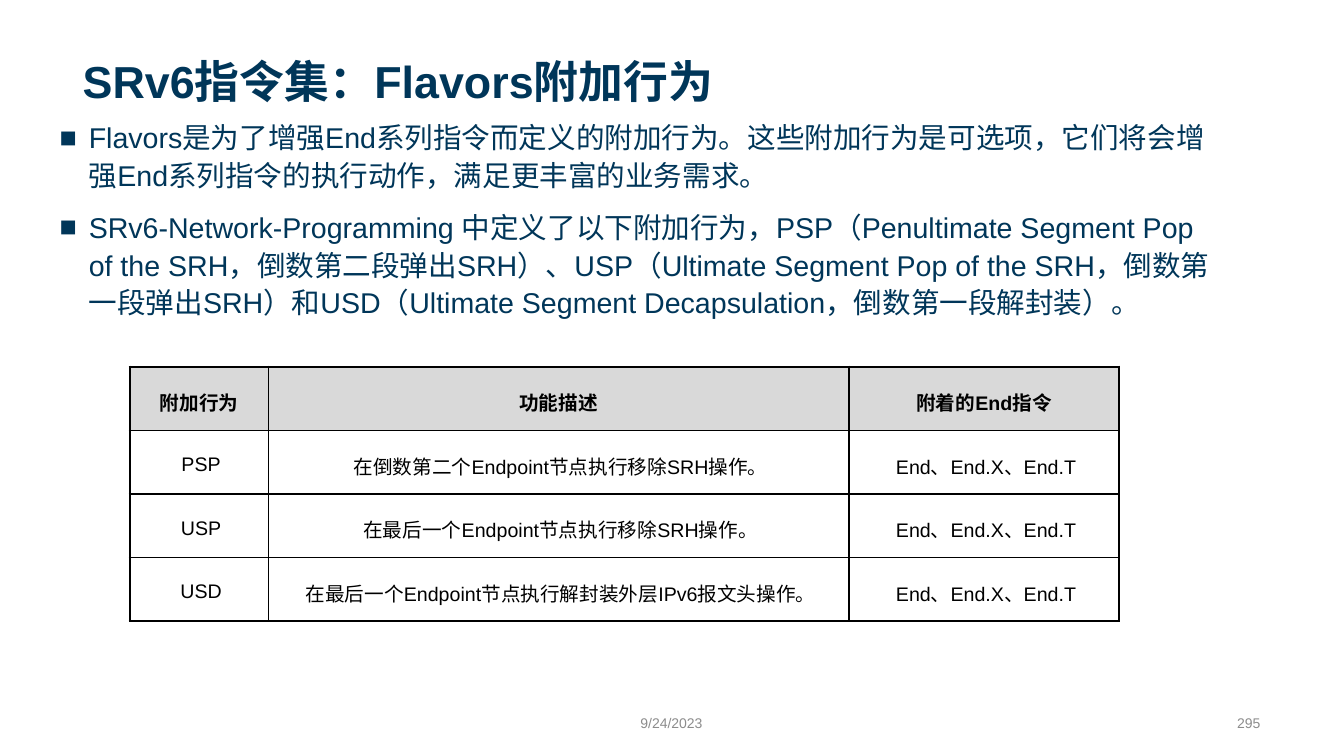
from lxml import etree
from pptx import Presentation
from pptx.dml.color import RGBColor
from pptx.enum.text import MSO_ANCHOR, MSO_AUTO_SIZE, PP_ALIGN
from pptx.oxml.ns import qn
from pptx.util import Inches, Pt

LEFT, CENTER, RIGHT = PP_ALIGN.LEFT, PP_ALIGN.CENTER, PP_ALIGN.RIGHT
MIDDLE, BOTTOM = MSO_ANCHOR.MIDDLE, MSO_ANCHOR.BOTTOM
NO_FIT = MSO_AUTO_SIZE.NONE
NAVY = RGBColor(0x00, 0x36, 0x59)
GRAY = RGBColor(0x8C, 0x8C, 0x8C)
HEADER_FILL = RGBColor(0xD9, 0xD9, 0xD9)
WHITE = RGBColor(0xFF, 0xFF, 0xFF)
BLACK = RGBColor(0x00, 0x00, 0x00)
THIN, THICK = Pt(1), Pt(2.25)


def style(para, size, color, align, bold=False, spacing=1.2):
    para.alignment = align
    para.line_spacing = spacing
    para.font.name = "Arial"
    para.font.size = Pt(size)
    para.font.bold = bold
    para.font.color.rgb = color


def add_border(cell, side, width):
    line = etree.SubElement(cell._tc.get_or_add_tcPr(), qn(f"a:{side}"), w=str(width))
    fill = etree.SubElement(line, qn("a:solidFill"))
    etree.SubElement(fill, qn("a:srgbClr"), val=str(BLACK))


deck = Presentation()
deck.slide_width, deck.slide_height = Inches(13.33), Inches(7.5)
page = deck.slides.add_slide(deck.slide_layouts.get_by_name("Title and Content"))

# Title and body placeholders
title, body = page.placeholders
for box, area in ((title, (0.72, 0.14, 11.88, 0.98)), (body, (0.49, 1.11, 11.62, 2.33))):
    box.left, box.top, box.width, box.height = map(Inches, area)
    box.text_frame.auto_size = NO_FIT
    box.text_frame.word_wrap = True
title.text_frame.text = "SRv6指令集：Flavors附加行为"
title.text_frame.vertical_anchor = BOTTOM
style(title.text_frame.paragraphs[0], 32, NAVY, LEFT, bold=True)

# Bulleted description
points = [
    "Flavors是为了增强End系列指令而定义的附加行为。这些附加行为是可选项，"
    "它们将会增强End系列指令的执行动作，满足更丰富的业务需求。",
    "SRv6-Network-Programming 中定义了以下附加行为，"
    "PSP（Penultimate Segment Pop of the SRH，倒数第二段弹出SRH）、"
    "USP（Ultimate Segment Pop of the SRH，倒数第一段弹出SRH）和"
    "USD（Ultimate Segment Decapsulation，倒数第一段解封装）。",
]
body.text_frame.text = "\n".join(points)
for number, para in enumerate(body.text_frame.paragraphs):
    props = para._p.get_or_add_pPr()
    props.set("marL", str(Inches(0.29)))
    props.set("indent", str(-Inches(0.29)))
    etree.SubElement(props, qn("a:buChar"), char="■")
    style(para, 20.4, NAVY, LEFT, spacing=1.1)
    para.space_before = Pt(10 if number else 0)

# Flavor table
END_TYPES = "End、End.X、End.T"
rows = [
    ("附加行为", "功能描述", "附着的End指令"),
    ("PSP", "在倒数第二个Endpoint节点执行移除SRH操作。", END_TYPES),
    ("USP", "在最后一个Endpoint节点执行移除SRH操作。", END_TYPES),
    ("USD", "在最后一个Endpoint节点执行解封装外层IPv6报文头操作。", END_TYPES),
]
column_widths = (1.37, 5.76, 2.68)
row_height = 0.63
last_row, last_column = len(rows) - 1, len(column_widths) - 1
table = page.shapes.add_table(
    len(rows), len(column_widths), Inches(1.29), Inches(3.64),
    Inches(sum(column_widths)), Inches(row_height * len(rows))).table
for column, width in zip(table.columns, column_widths):
    column.width = Inches(width)
for r, texts in enumerate(rows):
    table.rows[r].height = Inches(row_height)
    is_header = r == 0
    margins = (0.05, 0.02, 0.05, 0.02) if is_header else (0.08, 0.01, 0.04, 0)
    for c, text in enumerate(texts):
        cell = table.cell(r, c)
        cell.text = text
        cell.vertical_anchor = MIDDLE
        (cell.margin_left, cell.margin_top,
         cell.margin_right, cell.margin_bottom) = map(Inches, margins)
        style(cell.text_frame.paragraphs[0], 14, BLACK, CENTER, bold=is_header)
        # Thick frame outside, thin rules inside
        outer_sides = (("lnL", c == 0), ("lnR", c == last_column),
                       ("lnT", r == 0), ("lnB", r == last_row))
        for side, is_outer in outer_sides:
            add_border(cell, side, THICK if is_outer else THIN)
        cell.fill.solid()
        cell.fill.fore_color.rgb = HEADER_FILL if is_header else WHITE

# Date and page number
for text, left, width, align in (("9/24/2023", 5.16, 3, CENTER), ("295", 8.5, 4.1, RIGHT)):
    box = page.shapes.add_textbox(Inches(left), Inches(7.01), Inches(width), Inches(0.3))
    box.text_frame.word_wrap = True
    box.text_frame.vertical_anchor = MIDDLE
    box.text_frame.text = text
    style(box.text_frame.paragraphs[0], 10, GRAY, align)

deck.save("out.pptx")
